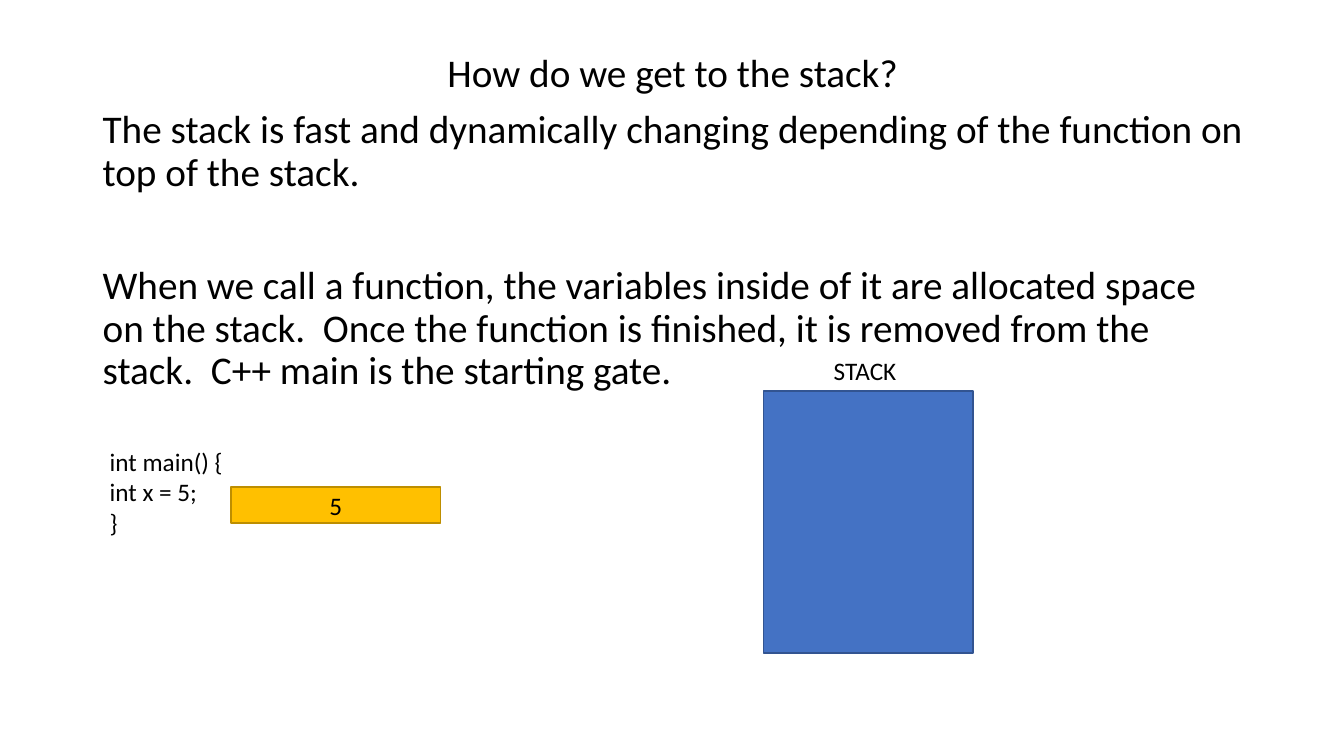
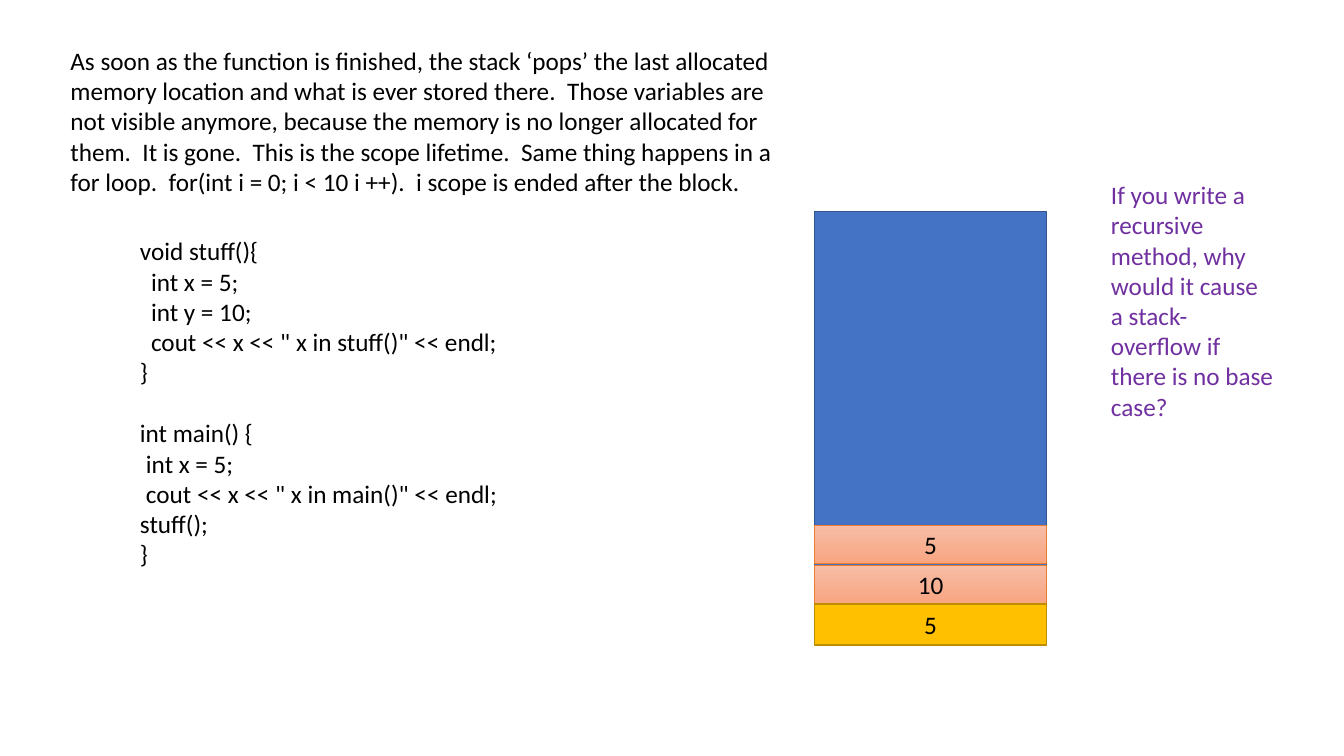
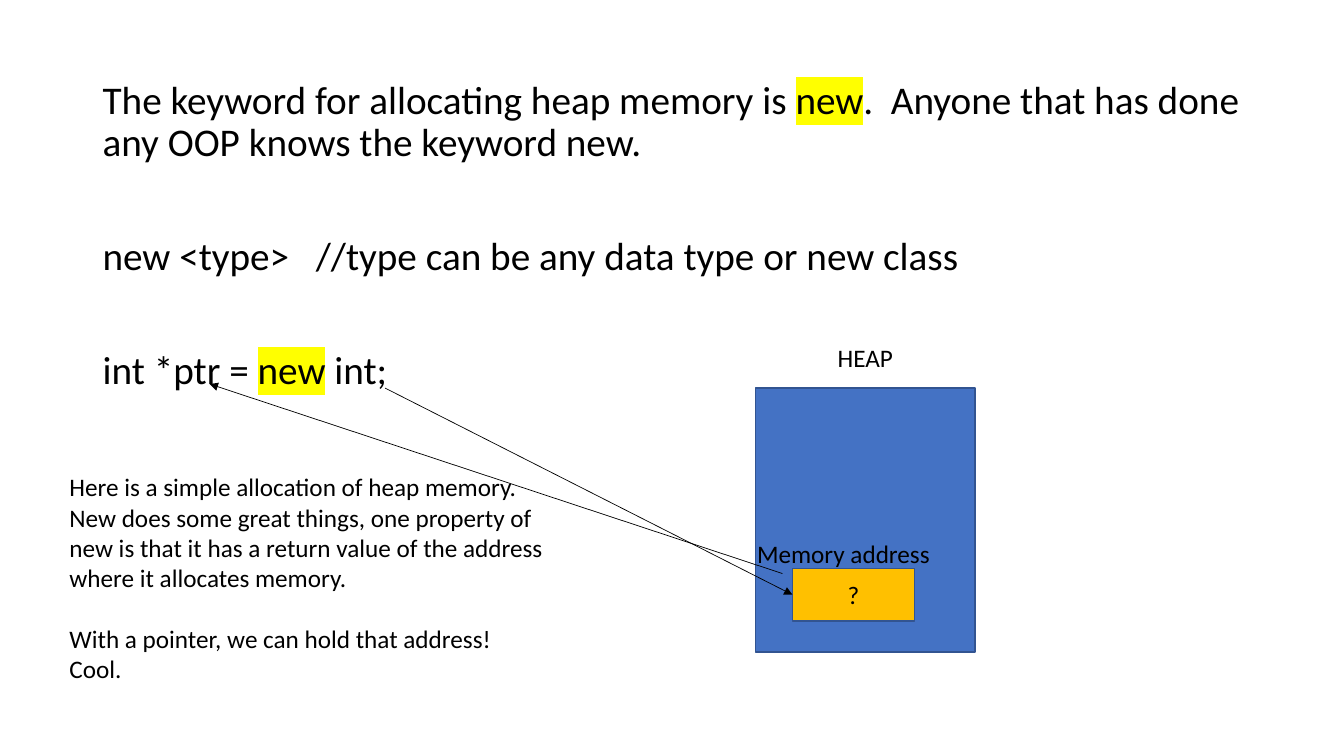
from dataclasses import dataclass

from lxml.etree import SubElement
from pptx import Presentation
from pptx.dml.color import RGBColor
from pptx.enum.shapes import MSO_CONNECTOR, MSO_SHAPE
from pptx.enum.text import MSO_ANCHOR, MSO_AUTO_SIZE, PP_ALIGN
from pptx.oxml.ns import qn
from pptx.util import Inches, Pt


@dataclass(frozen=True)
class Theme:
    """Colours, font and type sizes shared by the slides."""
    font: str = "Calibri"
    large: int = 28
    normal: int = 18
    text: str = "000000"
    question: str = "7030A0"
    highlight: str = "FFFF00"
    memory: str = "4472C4"
    memory_line: str = "325491"
    value: str = "FFC000"
    value_line: str = "BD8E00"
    frame: tuple = ("F7BDA5", "F8A582")
    frame_line: str = "ED7D31"
    body_spacing: float = 0.9
    body_gap: int = 10
    body_section_gap: int = 51
    section_gap: int = 22


@dataclass(frozen=True)
class Line:
    """One paragraph with its space before (points) and indent (inches)."""
    text: str
    gap: float = 0
    indent: float = 0


THEME = Theme()
TITLE_ONLY, BLANK = 5, 6


def write_text(frame, lines, size=THEME.normal, color=THEME.text,
               align=PP_ALIGN.LEFT, anchor=MSO_ANCHOR.TOP, spacing=1.0):
    """Fill a text frame; words between backticks are highlighted."""
    frame.word_wrap = True
    frame.auto_size = MSO_AUTO_SIZE.NONE
    frame.vertical_anchor = anchor
    for index, line in enumerate(lines):
        line = line if isinstance(line, Line) else Line(line)
        paragraph = frame.paragraphs[0] if index == 0 else frame.add_paragraph()
        paragraph.alignment = align
        paragraph.line_spacing = spacing
        paragraph.space_before = Pt(line.gap)
        if line.indent:
            properties = paragraph._p.get_or_add_pPr()
            properties.set("marL", str(Inches(line.indent)))
        for position, part in enumerate(line.text.split("`")):
            run = paragraph.add_run()
            run.text = part
            run.font.size = Pt(size)
            run.font.color.rgb = RGBColor.from_string(color)
            run.font.name = THEME.font
            if position % 2:
                highlight_run(run)


def highlight_run(run):
    """Put the highlight colour behind a run."""
    properties = run._r.get_or_add_rPr()
    highlight = SubElement(properties, qn("a:highlight"))
    SubElement(highlight, qn("a:srgbClr"), val=THEME.highlight)
    properties.find(qn("a:latin")).addprevious(highlight)


class Deck:
    """The presentation and the slide being drawn."""

    def __init__(self):
        """Start a widescreen presentation."""
        self.presentation = Presentation()
        self.presentation.slide_width = Inches(13.33)
        self.presentation.slide_height = Inches(7.5)
        self.slide = None

    def add_slide(self, layout=BLANK):
        """Add a slide and make it current."""
        layouts = self.presentation.slide_layouts
        self.slide = self.presentation.slides.add_slide(layouts[layout])

    def title(self, text, left, top, width, height):
        """Place and format the title placeholder."""
        title = self.slide.shapes.title
        title.left, title.top = Inches(left), Inches(top)
        title.width, title.height = Inches(width), Inches(height)
        write_text(title.text_frame, [text], size=THEME.large,
                   align=PP_ALIGN.CENTER, spacing=THEME.body_spacing)

    def text(self, lines, left, top, width, height, **style):
        """Add a wrapped text box."""
        box = self.slide.shapes.add_textbox(
            Inches(left), Inches(top), Inches(width), Inches(height))
        write_text(box.text_frame, lines, **style)

    def body(self, lines, top, height):
        """Add large running text across the slide."""
        self.text(lines, 0.92, top, 11.5, height,
                  size=THEME.large, spacing=THEME.body_spacing)

    def block(self, left, top, width, height, fill=THEME.memory,
              line=THEME.memory_line, line_width=1, label=None):
        """Add a rectangle; a pair of fill colours gives a gradient."""
        shape = self.slide.shapes.add_shape(
            MSO_SHAPE.RECTANGLE,
            Inches(left), Inches(top), Inches(width), Inches(height))
        shape.shadow.inherit = False
        if isinstance(fill, tuple):
            shape.fill.gradient()
            shape.fill.gradient_angle = 270
            for stop, color, place in zip(shape.fill.gradient_stops, fill, (0, 1)):
                stop.color.rgb = RGBColor.from_string(color)
                stop.position = place
        else:
            shape.fill.solid()
            shape.fill.fore_color.rgb = RGBColor.from_string(fill)
        shape.line.color.rgb = RGBColor.from_string(line)
        shape.line.width = Pt(line_width)
        if label:
            write_text(shape.text_frame, [label], align=PP_ALIGN.CENTER,
                       anchor=MSO_ANCHOR.MIDDLE)

    def arrow(self, start, end):
        """Add a thin line with a triangle at its end."""
        points = [Inches(value) for value in (*start, *end)]
        connector = self.slide.shapes.add_connector(MSO_CONNECTOR.STRAIGHT, *points)
        connector.line.color.rgb = RGBColor.from_string(THEME.text)
        connector.line.width = Pt(0.5)
        properties = connector._element.spPr
        SubElement(properties.find(qn("a:ln")), qn("a:tailEnd"), type="triangle")
        SubElement(properties, qn("a:effectLst"))


def draw_stack_intro(deck):
    """How a variable of main relates to the stack."""
    deck.add_slide(TITLE_ONLY)
    deck.title("How do we get to the stack?", 0.92, 0.48, 11.5, 0.55)
    deck.body([
        "The stack is fast and dynamically changing depending of the function "
        "on top of the stack.",
        Line("When we call a function, the variables inside of it are allocated "
             "space on the stack.  Once the function is finished, it is removed "
             "from the stack.  C++ main is the starting gate.",
             gap=THEME.body_section_gap),
    ], top=1.04, height=5.72)
    deck.block(7.57, 3.88, 2.08, 2.6)
    deck.text(["int main() {", "int x = 5;", "}"], 0.99, 4.38, 5.97, 1.01)
    deck.block(2.29, 4.83, 2.08, 0.36, fill=THEME.value,
               line=THEME.value_line, label="5")
    deck.text(["STACK"], 8.17, 3.48, 0.86, 0.4)


def draw_scope(deck):
    """The stack while stuff() runs inside main()."""
    deck.add_slide()
    left, width = 8.08, 2.3
    deck.block(left, 2.1, width, 4.29)
    for top, label in ((5.21, "5"), (5.61, "10")):
        deck.block(left, top, width, 0.38, fill=THEME.frame,
                   line=THEME.frame_line, line_width=0.5, label=label)
    deck.block(left, 5.99, width, 0.41, fill=THEME.value,
               line=THEME.value_line, label="5")
    deck.text([
        "As soon as the function is finished, the stack ‘pops’ the last allocated "
        "memory location and what is ever stored there.  Those variables are not "
        "visible anymore, because the memory is no longer allocated for them.  "
        "It is gone.  This is the scope lifetime.  Same thing happens in a for "
        "loop.  for(int i = 0; i < 10 i ++).  i scope is ended after the block.",
    ], 0.6, 0.4, 7.48, 1.62)
    deck.text([
        "void stuff(){",
        Line("int x = 5;", indent=0.11),
        Line("int y = 10;", indent=0.11),
        Line('cout << x << " x in stuff()" << endl;', indent=0.11),
        "}",
        Line("int main() {", gap=THEME.section_gap),
        Line("int x = 5;", indent=0.06),
        Line('cout << x << " x in main()" << endl;', indent=0.06),
        "stuff();",
        "}",
    ], 1.29, 2.29, 5.96, 3.43)
    deck.text(["If you write a recursive method, why would it cause a "
               "stack-overflow if there is no base case?"],
              10.92, 1.73, 1.82, 2.52, color=THEME.question)


def draw_heap(deck):
    """A pointer that receives an address on the heap."""
    deck.add_slide()
    deck.body([
        "The keyword for allocating heap memory is `new`.  Anyone that has done "
        "any OOP knows the keyword new.",
        Line("new <type>   //type can be any data type or new class",
             gap=THEME.body_section_gap),
        Line("int *ptr = `new` int;", gap=THEME.body_section_gap),
    ], top=0.75, height=6.01)
    deck.block(7.49, 3.85, 2.18, 2.62)
    deck.text(["HEAP"], 8.21, 3.35, 0.87, 0.4)
    deck.block(7.86, 5.64, 1.21, 0.52, fill=THEME.value, label="?")
    deck.text(["Memory address"], 7.41, 5.29, 2.29, 0.4)
    deck.arrow((3.82, 3.85), (7.86, 5.9))
    deck.arrow((7.76, 5.69), (2.08, 3.81))
    deck.text([
        "Here is a simple allocation of heap memory.",
        "New does some great things, one property of",
        "new is that it has a return value of the address where it allocates memory.",
        Line("With a pointer, we can hold that address!", gap=THEME.section_gap),
        "Cool.",
    ], 0.59, 4.63, 4.92, 2.22)


def main():
    """Build and save the slides."""
    deck = Deck()
    draw_stack_intro(deck)
    draw_scope(deck)
    draw_heap(deck)
    deck.presentation.save("out.pptx")


main()
